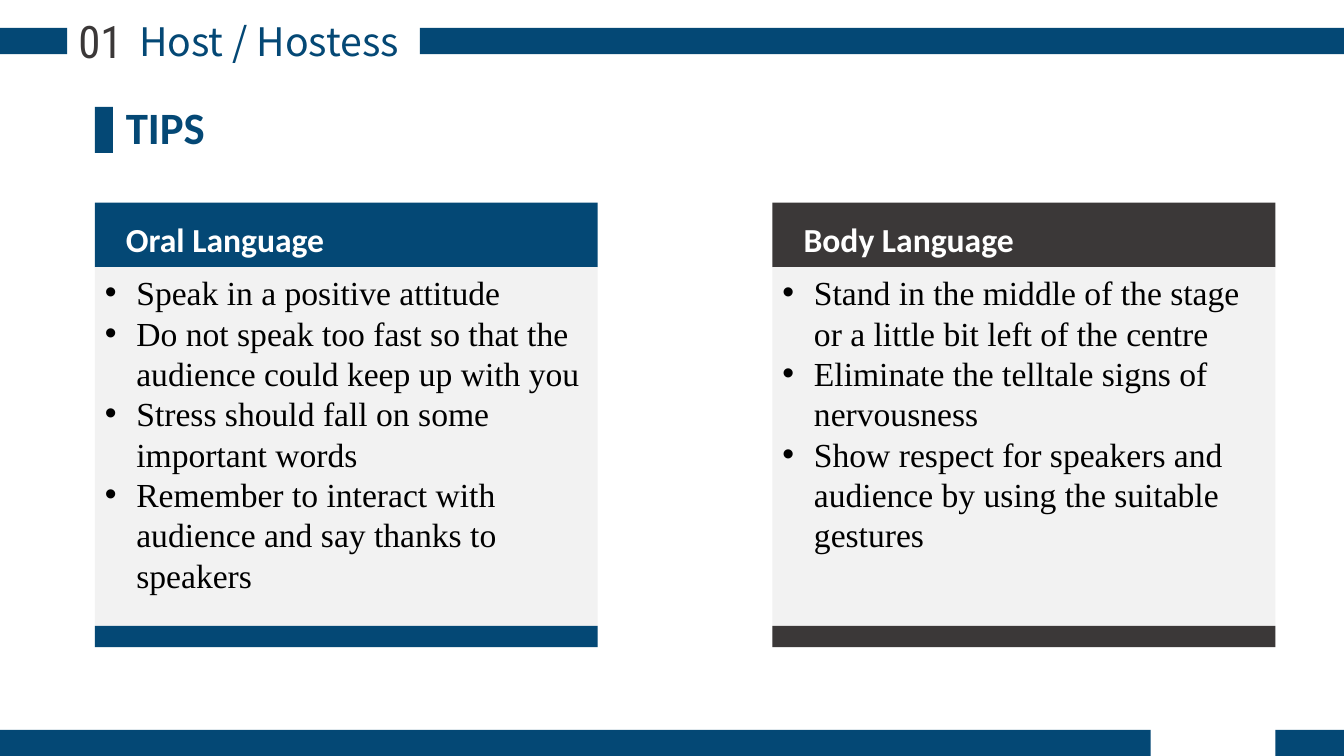
from lxml import etree
from pptx import Presentation
from pptx.dml.color import RGBColor
from pptx.enum.shapes import MSO_SHAPE
from pptx.enum.text import MSO_ANCHOR, MSO_AUTO_SIZE, PP_ALIGN
from pptx.oxml.ns import qn
from pptx.util import Pt

COLORS = {"blue": "044875", "charcoal": "3B3838", "panel": "F2F2F2",
          "white": "FFFFFF", "black": "000000"}
SLIDE_W, SLIDE_H = 960, 540
BAR_H = 18.7
LEFT, RIGHT = 67.7, 911
CARD_W, CARD_H = 359.3, 317.5
HEADER_H, STRIP_H = 46.1, 15.1
INDENT = 22.5

CARDS = [
    ("Oral Language", "blue", [
        "Speak in a positive attitude",
        "Do not speak too fast so that the audience could keep up with you",
        "Stress should fall on some important words",
        "Remember to interact with audience and say thanks to speakers",
    ]),
    ("Body Language", "charcoal", [
        "Stand in the middle of the stage or a little bit left of the centre",
        "Eliminate the telltale signs of nervousness",
        "Show respect for speakers and audience by using the suitable gestures",
    ]),
]


def rgb(color):
    return RGBColor.from_string(COLORS[color])


def paint(shape, color):
    shape.fill.solid()
    shape.fill.fore_color.rgb = rgb(color)


def add_block(slide, x, y, w, h, color):
    block = slide.shapes.add_shape(MSO_SHAPE.RECTANGLE, Pt(x), Pt(y), Pt(w), Pt(h))
    block.shadow.inherit = False
    block.line.fill.background()
    paint(block, color)


def add_label(slide, x, y, w, h):
    return slide.shapes.add_textbox(Pt(x), Pt(y), Pt(w), Pt(h))


def place(shape, x, y, w, h):
    shape.left, shape.top, shape.width, shape.height = Pt(x), Pt(y), Pt(w), Pt(h)


def write(shape, lines, font, size, color, bold=False, align=PP_ALIGN.LEFT,
          spacing=1.0, inset=7.2, top=3.6):
    """Fill a shape with one paragraph per line and return the paragraphs."""
    frame = shape.text_frame
    frame.word_wrap = True
    frame.auto_size = MSO_AUTO_SIZE.NONE
    frame.vertical_anchor = MSO_ANCHOR.TOP
    frame.margin_left, frame.margin_right = Pt(inset), Pt(7.2)
    frame.margin_top, frame.margin_bottom = Pt(top), Pt(3.6)
    for number, line in enumerate(lines):
        paragraph = frame.add_paragraph() if number else frame.paragraphs[0]
        paragraph.alignment = align
        paragraph.line_spacing = spacing
        paragraph.space_before = paragraph.space_after = Pt(0)
        run = paragraph.add_run()
        run.text = line
        run.font.name, run.font.size, run.font.bold = font, Pt(size), bold
        run.font.color.rgb = rgb(color)
    return frame.paragraphs


def add_bullet(paragraph):
    props = paragraph._p.get_or_add_pPr()
    props.set("marL", str(Pt(INDENT)))
    props.set("indent", str(-Pt(INDENT)))
    etree.SubElement(props, qn("a:buFont"), typeface="Arial")
    etree.SubElement(props, qn("a:buChar"), char="•")


def build_title_band(slide, y):
    add_block(slide, 0, y, 48, BAR_H, "blue")
    add_block(slide, 300, y, SLIDE_W - 300, BAR_H, "blue")
    title = slide.shapes.title
    place(title, 62.6, y - 11.5, 259, 41)
    write(title, ["Host / Hostess"], "Noto Sans CJK SC", 28, "blue",
          align=PP_ALIGN.CENTER)
    write(add_label(slide, 43.2, y - 13.7, 57, 46), ["01"],
          "Roboto Condensed", 32, "charcoal", align=PP_ALIGN.CENTER)


def build_footer_band(slide, y):
    add_block(slide, 0, y, 822, BAR_H, "blue")
    add_block(slide, RIGHT, y, SLIDE_W - RIGHT, BAR_H, "blue")


def build_section_heading(slide, x, y):
    add_block(slide, x, y, 13, 33, "blue")
    write(add_label(slide, x + 15.1, y + 5.8, 520, 33.8), ["TIPS"],
          "Calibri", 32, "blue", bold=True, spacing=Pt(24))


def build_card(slide, header, tips, x, y, card):
    heading, color, lines = card
    place(header, x, y, CARD_W, HEADER_H)
    paint(header, color)
    write(header, [heading], "Calibri", 24, "white", bold=True, inset=22.3, top=11.5)
    place(tips, x, y + HEADER_H, CARD_W, CARD_H - HEADER_H)
    paint(tips, "panel")
    for paragraph in write(tips, lines, "Times New Roman", 24, "black"):
        add_bullet(paragraph)
    add_block(slide, x, y + CARD_H - STRIP_H, CARD_W, STRIP_H, color)


def build_comparison_slide(deck):
    layout = deck.slide_layouts.get_by_name("Comparison")
    slide = deck.slides.add_slide(layout)
    build_title_band(slide, 20)
    build_footer_band(slide, SLIDE_H - BAR_H)
    build_section_heading(slide, LEFT, 76.3)
    _, *bodies = slide.placeholders
    pairs = zip(bodies[::2], bodies[1::2])
    for x, (header, tips), card in zip((LEFT, RIGHT - CARD_W), pairs, CARDS):
        build_card(slide, header, tips, x, 144.7, card)


def main():
    deck = Presentation()
    deck.slide_width, deck.slide_height = Pt(SLIDE_W), Pt(SLIDE_H)
    build_comparison_slide(deck)
    deck.save("out.pptx")


if __name__ == "__main__":
    main()
